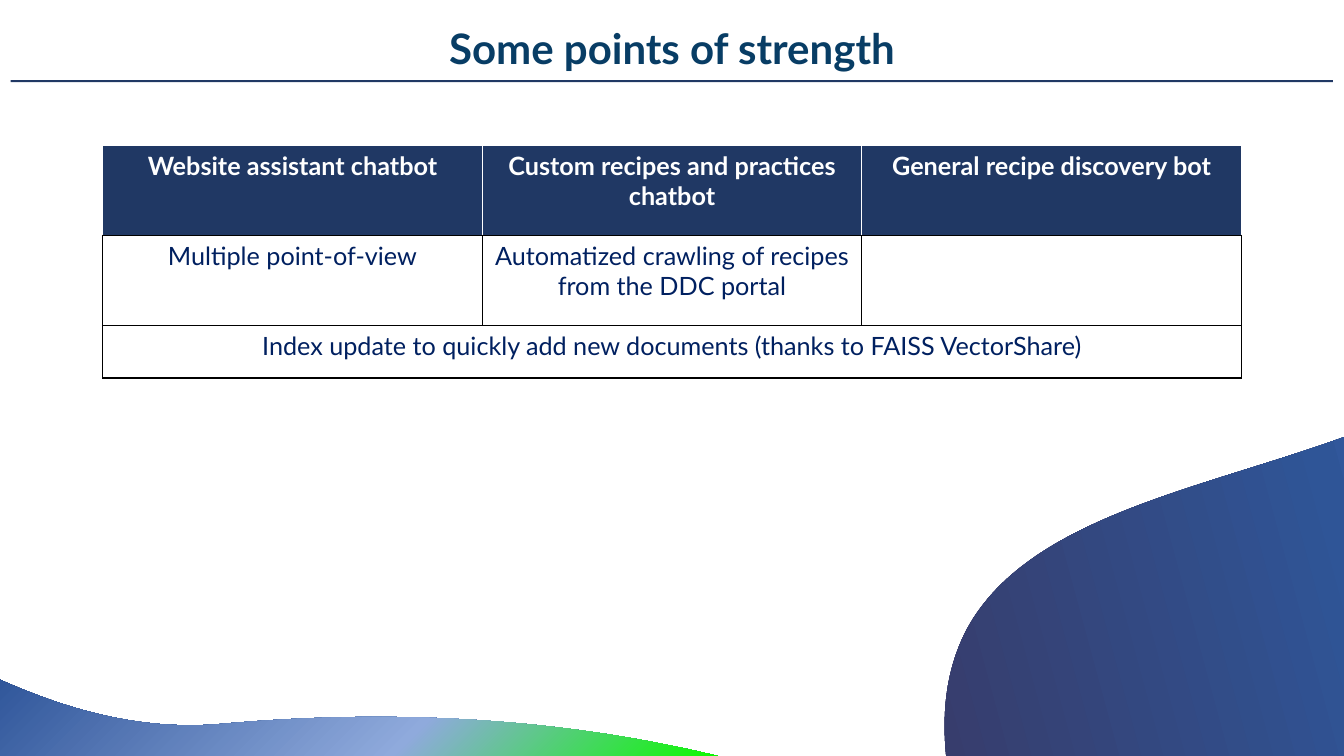
from dataclasses import dataclass
from math import cos, radians, sin

from lxml.etree import SubElement
from pptx import Presentation
from pptx.dml.color import RGBColor
from pptx.enum.shapes import MSO_SHAPE
from pptx.enum.text import MSO_AUTO_SIZE, PP_ALIGN
from pptx.oxml.ns import qn
from pptx.util import Pt

COLORS = {
    "title": "083D65", "navy": "203864", "body": "002060",
    "white": "FFFFFF", "black": "000000",
}
WAVE_STOPS = [(0, "393762"), (42, "2F5597"), (44, "31579B"), (77, "8FAADC"), (100, "0CFA00")]

Point = tuple[float, float]


@dataclass
class Wave:
    """Each segment lists the points after the current one: one for a line, three for a curve."""
    start: Point
    segments: list[list[Point]]
    center: Point = (0, 0)
    rotation: float = 0


@dataclass
class TableRow:
    height: float
    texts: list[str]
    fill: str
    font: dict
    edge: str


TITLE_FONT = {"name": "Lato", "size": Pt(30), "bold": True, "color": "title"}
HEADER_FONT = {"name": "Lato", "size": Pt(18), "bold": True, "color": "white"}
BODY_FONT = HEADER_FONT | {"bold": False, "color": "body"}

WAVES = [
    Wave((-248.4, 393.1), [
        [(-108.7, 392.4), (-1.4, 531.4), (159.1, 517)],
        [(306, 504), (423.4, 518.4), (512.6, 540)],
        [(513.4, 540)],
        [(-351.4, 540)],
        [(-351.4, 534.2)],
        [(-351.4, 505.4), (-351.4, 468), (-351.4, 419)],
        [(-314.6, 400.3), (-280.8, 393.1), (-248.4, 393.1)],
    ]),
    Wave((691.2, 447.8), [
        [(765.4, 316.1), (1057.7, 349.9), (1118.9, 185.8)],
        [(1176.5, 36), (1262.9, -61.2), (1346.4, -123.8)],
        [(1347.8, -124.6)],
        [(884.2, 686.2)],
        [(874.1, 680.4)],
        [(825.8, 653), (763.2, 617), (680.4, 570.2)],
        [(668.9, 517.7), (674.6, 478.1), (691.2, 447.8)],
    ], center=(991.8, 210.2), rotation=299.8),
]

TABLE_LEFT, TABLE_TOP, COLUMN_WIDTH = 73.4, 103.9, 271.1
ROWS = [
    TableRow(64.2, ["Website assistant chatbot", "Custom recipes and practices chatbot",
                    "General recipe discovery bot"], "navy", HEADER_FONT, "white"),
    TableRow(64.2, ["Multiple point-of-view",
                    "Automatized crawling of recipes from the DDC portal", ""],
             "white", BODY_FONT, "black"),
    TableRow(37.8, ["Index update to quickly add new documents (thanks to FAISS VectorShare)"],
             "white", BODY_FONT, "black"),
]


def rgb(name: str) -> RGBColor:
    return RGBColor.from_string(COLORS[name])


def write_text(frame, text: str, font: dict) -> None:
    para = frame.paragraphs[0]
    para.alignment = PP_ALIGN.CENTER
    span = para.add_run()
    span.text = text
    for key, value in font.items():
        if key == "color":
            span.font.color.rgb = rgb(value)
        else:
            setattr(span.font, key, value)


def add_title(page) -> None:
    box = page.shapes.add_textbox(Pt(215.1), Pt(16.3), Pt(530), Pt(36))
    frame = box.text_frame
    frame.word_wrap = True
    frame.auto_size = MSO_AUTO_SIZE.SHAPE_TO_FIT_TEXT
    for side in ("left", "top", "right", "bottom"):
        setattr(frame, f"margin_{side}", 0)
    write_text(frame, "Some points of strength", TITLE_FONT)

    rule = page.shapes.add_shape(MSO_SHAPE.RECTANGLE, Pt(7.5), Pt(57.2), Pt(944.6), Pt(1.5))
    rule.shadow.inherit = False
    rule.fill.solid()
    rule.fill.fore_color.rgb = rgb("navy")
    rule.line.fill.background()


def turn_back(point: Point, wave: Wave) -> tuple[int, int]:
    """Undo the wave's rotation, which the shape itself applies again."""
    angle = radians(wave.rotation)
    dx, dy = point[0] - wave.center[0], point[1] - wave.center[1]
    return (Pt(wave.center[0] + dx * cos(angle) + dy * sin(angle)),
            Pt(wave.center[1] - dx * sin(angle) + dy * cos(angle)))


def bend_curves(shape, segments: list[list[Point]]) -> None:
    """Join the straight steps of each three-point segment into one Bézier curve."""
    steps = iter(list(shape.element.spPr.iter(qn("a:lnTo"))))
    for segment in segments:
        group = [next(steps) for _ in segment]
        if len(group) == 3:
            curve = group[0].makeelement(qn("a:cubicBezTo"), {})
            group[0].addprevious(curve)
            for step in group:
                curve.append(step[0])
                step.getparent().remove(step)


def add_wave(page, wave: Wave) -> None:
    points = [turn_back(point, wave) for segment in wave.segments for point in segment]
    builder = page.shapes.build_freeform(*turn_back(wave.start, wave))
    builder.add_line_segments(points, close=True)
    shape = builder.convert_to_shape()
    bend_curves(shape, wave.segments)
    shape.rotation = wave.rotation
    shape.shadow.inherit = False
    shape.line.fill.background()
    shape.fill.gradient()
    shape.fill.gradient_angle = 315
    stops = shape.element.spPr.find(".//" + qn("a:gsLst"))
    for stop in list(stops):
        stops.remove(stop)
    for percent, color in WAVE_STOPS:
        stop = SubElement(stops, qn("a:gs"), pos=str(percent * 1000))
        SubElement(stop, qn("a:srgbClr"), val=color)


def set_borders(cell, colors: dict[str, str]) -> None:
    properties = cell._tc.get_or_add_tcPr()
    for index, (side, color) in enumerate(colors.items()):
        line = properties.makeelement(qn(f"a:ln{side}"), {"w": str(Pt(1))})
        fill = SubElement(line, qn("a:solidFill"))
        SubElement(fill, qn("a:srgbClr"), val=COLORS[color])
        properties.insert(index, line)


def add_strengths_table(page) -> None:
    columns = len(ROWS[0].texts)
    table = page.shapes.add_table(
        len(ROWS), columns, Pt(TABLE_LEFT), Pt(TABLE_TOP),
        Pt(columns * COLUMN_WIDTH), Pt(sum(row.height for row in ROWS))).table
    table.first_row = table.horz_banding = False
    for column in table.columns:
        column.width = Pt(COLUMN_WIDTH)
    for index, row in enumerate(ROWS):
        table.rows[index].height = Pt(row.height)
        for column in range(columns):
            cell = table.cell(index, column)
            cell.fill.solid()
            cell.fill.fore_color.rgb = rgb(row.fill)
            set_borders(cell, {"L": row.edge, "R": row.edge,
                               "T": "black" if index else row.edge, "B": "black"})
        for column, text in enumerate(row.texts):
            if text:
                write_text(table.cell(index, column).text_frame, text, row.font)
        if len(row.texts) == 1:
            table.cell(index, 0).merge(table.cell(index, columns - 1))


def main() -> None:
    deck = Presentation()
    deck.slide_width, deck.slide_height = Pt(960), Pt(540)
    page = deck.slides.add_slide(deck.slide_layouts[6])
    add_title(page)
    for wave in WAVES:
        add_wave(page, wave)
    add_strengths_table(page)
    deck.save("out.pptx")


if __name__ == "__main__":
    main()
